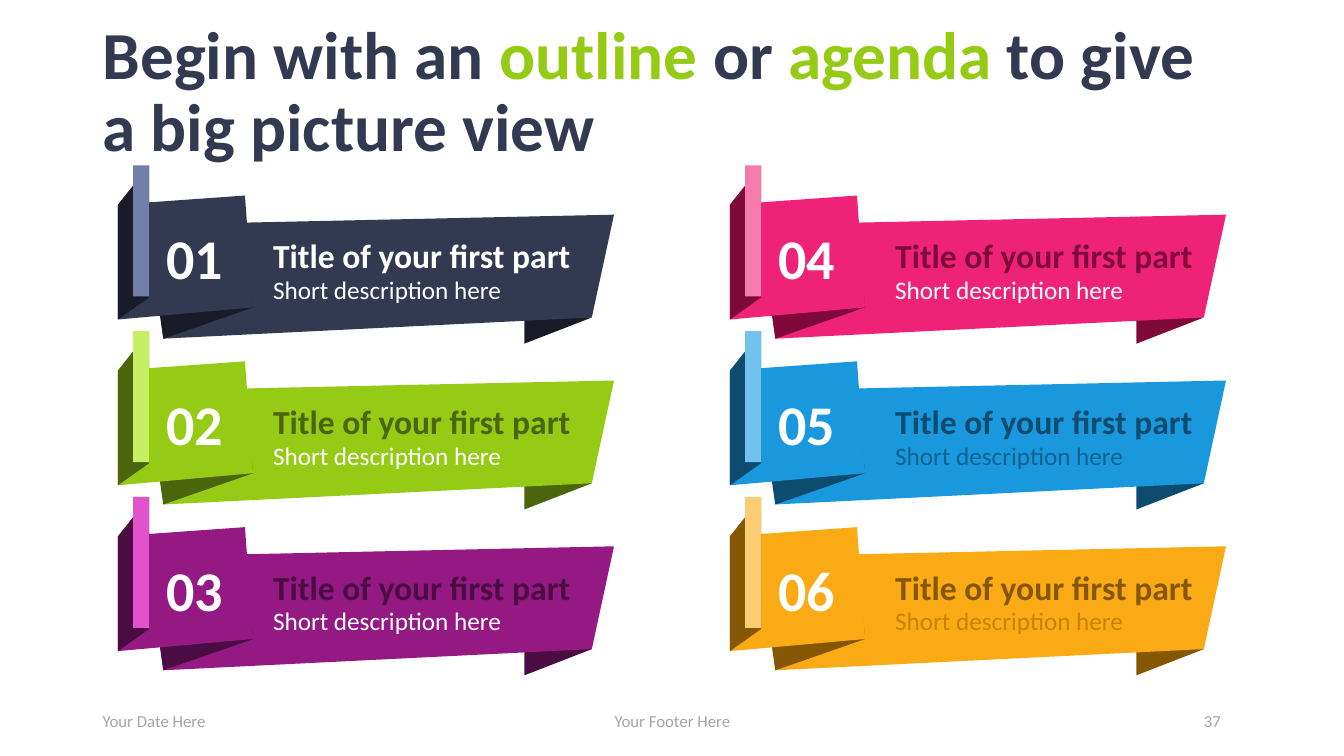
from pptx import Presentation
from pptx import util as u
from pptx.dml.color import RGBColor
from pptx.enum import shapes, text

FONT = "Calibri"
NAVY, GREEN, GREY, WHITE = "323951", "95CA15", "A6A6A6", "FFFFFF"
LEFT, TOP = 1.17, 1.64
COLUMN_PITCH, ROW_PITCH = 6.07, 3.29 / 2
ROWS = 3

# Ribbon outlines, in inches from the top left corner of a banner
TAIL_FOLD = [(4.7, 1.51), (4.03, 1.77), (4.03, 1.46)]
RIBBON = [(4.7, 1.51), (0.45, 1.72), (0.31, 0.59), (4.92, 0.49)]
INNER_FOLD = [(0.45, 1.72), (1.34, 1.41), (1.26, 0.57), (0.36, 1.1)]
NUMBER_FLAP = [(1.34, 1.41), (1.26, 0.3), (0, 0.39), (0, 1.53)]
SIDE_FOLD = [(0, 0.39), (0.31, 0), (0.31, 1.31), (0, 1.53)]

# Main, dark and light colour of each banner, then title and description colour
BANNERS = [
    (NAVY, "191C28", "727FA8", WHITE, WHITE),
    (GREEN, "4A650B", "C6EF63", "4A650B", WHITE),
    ("951983", "4A0C42", "E252CD", "4A0C42", WHITE),
    ("EE2377", "7F0A3A", "F57BAD", "7F0A3A", WHITE),
    ("1A98DD", "0D4C6E", "72C2EE", "0D4C6E", "0F6390"),
    ("FAAA15", "855703", "FCCC73", "855703", "C78304"),
]


def color(value):
    return RGBColor.from_string(value)


def paint(shape, fill):
    shape.shadow.inherit = False
    shape.fill.solid()
    shape.fill.fore_color.rgb = color(fill)
    shape.line.fill.background()


def write(shape, runs, size, bold=False, align=text.PP_ALIGN.LEFT,
          anchor=text.MSO_ANCHOR.MIDDLE, insets=(0.1, 0.05, 0.1, 0.05)):
    """Fill a shape with one paragraph made of (wording, colour) runs."""
    frame = shape.text_frame
    frame.word_wrap = True
    frame.vertical_anchor = anchor
    (frame.margin_left, frame.margin_top,
     frame.margin_right, frame.margin_bottom) = map(u.Inches, insets)
    paragraph = frame.paragraphs[0]
    paragraph.alignment = align
    for wording, run_color in runs:
        run = paragraph.add_run()
        run.text = wording
        run.font.name = FONT
        run.font.size = u.Pt(size)
        run.font.bold = bold
        run.font.color.rgb = color(run_color)
    return paragraph


def add_text(parent, box, runs, size, **options):
    shape = parent.add_textbox(*map(u.Inches, box))
    return write(shape, runs, size, **options)


def add_outline(slide, left, top, points, fill):
    corners = [(u.Inches(left + x), u.Inches(top + y)) for x, y in points]
    builder = slide.shapes.build_freeform(*corners[0])
    builder.add_line_segments(corners[1:], close=True)
    shape = builder.convert_to_shape()
    paint(shape, fill)
    return shape


def add_banner(slide, number, left, top, main_color, dark, light):
    add_outline(slide, left, top, TAIL_FOLD, dark)
    add_outline(slide, left, top, RIBBON, main_color)
    add_outline(slide, left, top, INNER_FOLD, dark)
    flap = add_outline(slide, left, top, NUMBER_FLAP, main_color)
    write(flap, [(f"{number:02}", WHITE)], 40, bold=True,
          align=text.PP_ALIGN.RIGHT, insets=(0.1, 0.05, 0.3, 0.05))
    add_outline(slide, left, top, SIDE_FOLD, dark)
    bar = slide.shapes.add_shape(
        shapes.MSO_SHAPE.RECTANGLE,
        *map(u.Inches, (left + 0.15, top, 0.16, 1.3)))
    paint(bar, light)


def add_caption(slide, left, top, title_color, description_color):
    group = slide.shapes.add_group_shape().shapes
    add_text(group, (left, top + 0.49, 3.26, 0.61),
             [("Title of your first part", title_color)], 24, bold=True,
             anchor=text.MSO_ANCHOR.TOP, insets=(0.1, 0.2, 0.1, 0))
    add_text(group, (left, top + 1.08, 3.26, 0.3),
             [("Short description here", description_color)], 18,
             anchor=text.MSO_ANCHOR.TOP, insets=(0.1, 0, 0.1, 0))


def add_footer(slide):
    center = text.PP_ALIGN.CENTER
    for left, width, wording, align in [
            (0.92, 3, "Your Date Here", text.PP_ALIGN.LEFT),
            (4.42, 4.5, "Your Footer Here", center),
            (11.63, 0.79, "37", center)]:
        add_text(slide.shapes, (left, 6.95, width, 0.4),
                 [(wording, GREY)], 12, align=align)


def main():
    presentation = Presentation()
    presentation.slide_width = u.Inches(13.33)
    presentation.slide_height = u.Inches(7.5)
    slide = presentation.slides.add_slide(presentation.slide_layouts[6])

    heading = add_text(
        slide.shapes, (0.92, 0.31, 11.5, 1.24),
        [("Begin with an ", NAVY), ("outline", GREEN), (" or ", NAVY),
         ("agenda", GREEN), (" to give a big picture view", NAVY)],
        48, bold=True)
    heading.line_spacing = 0.9
    add_footer(slide)

    for index, (main_color, dark, light, *caption_colors) in enumerate(BANNERS):
        column, row = divmod(index, ROWS)
        left = LEFT + column * COLUMN_PITCH
        top = TOP + row * ROW_PITCH
        add_banner(slide, index + 1, left, top, main_color, dark, light)
        add_caption(slide, left + 1.44 + 0.1 * column, top, *caption_colors)

    presentation.save("out.pptx")


if __name__ == "__main__":
    main()
